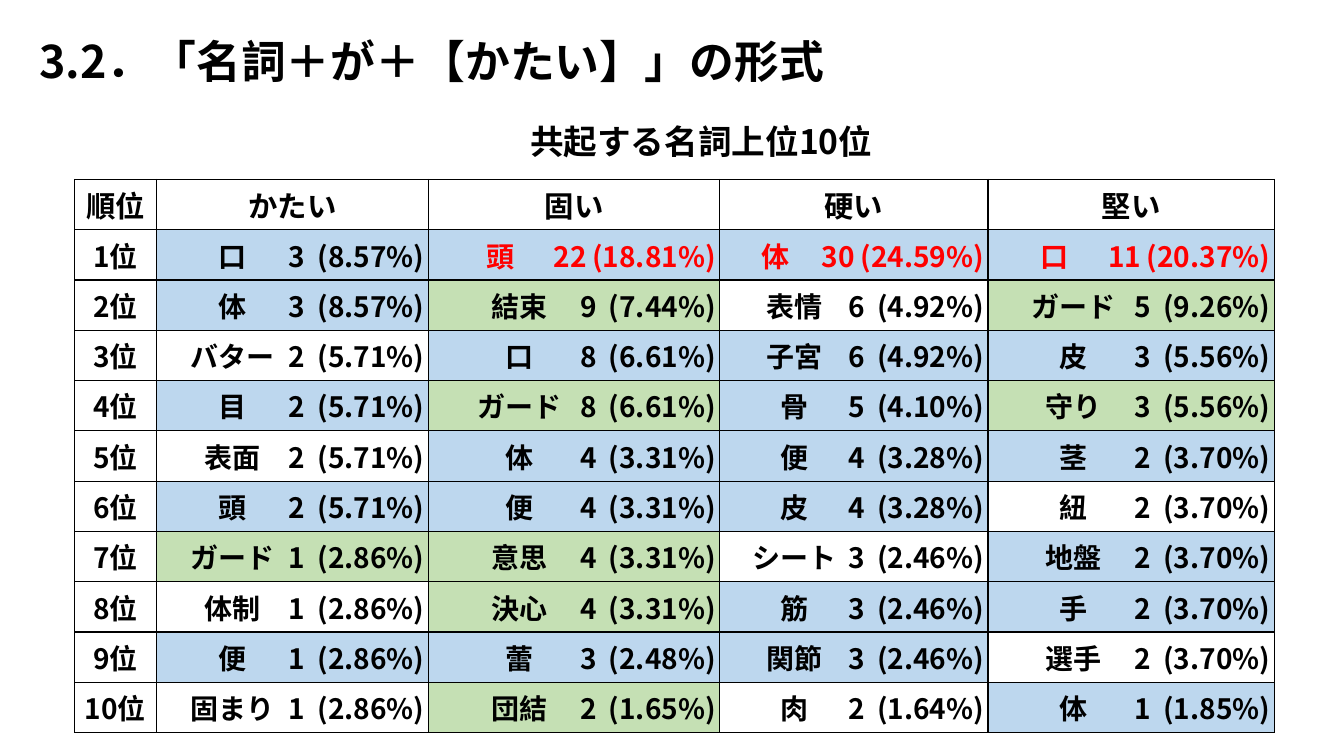
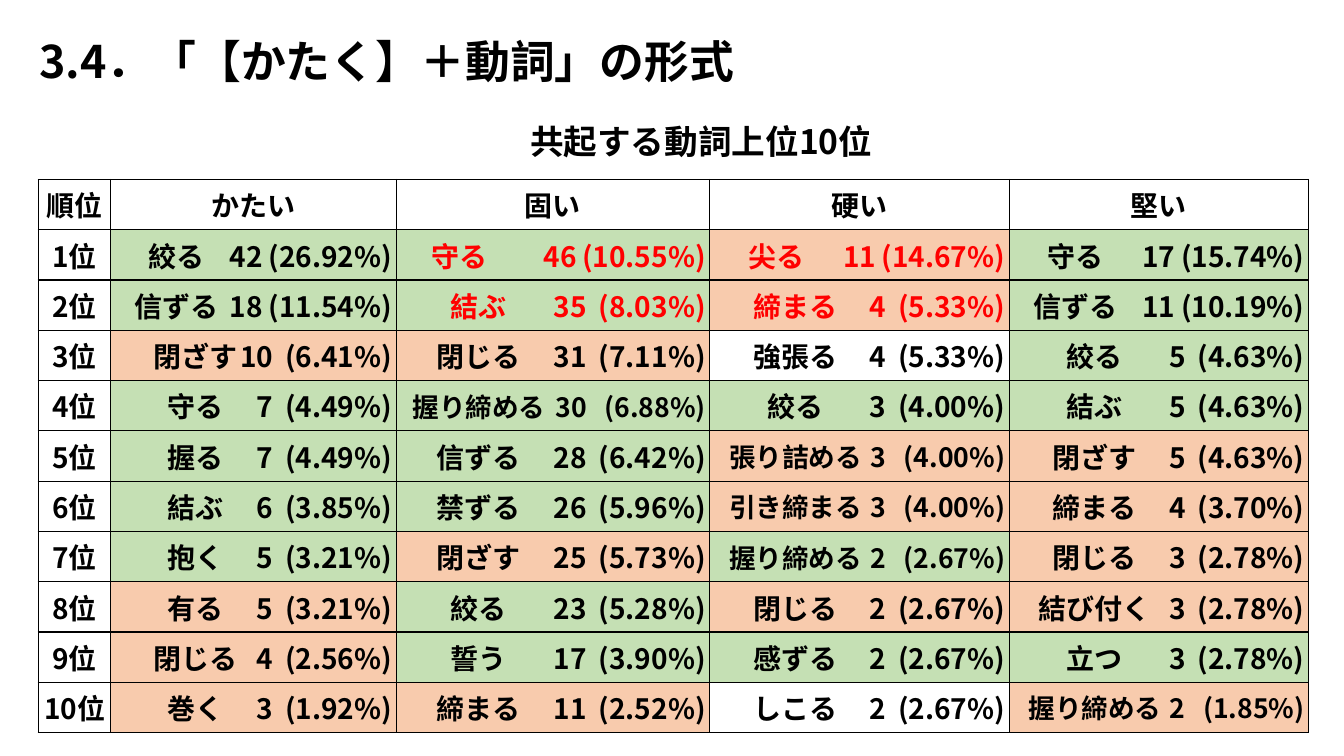
from pptx import Presentation
from pptx import util as u
from pptx.dml.color import RGBColor
from pptx.enum import text
from pptx.oxml import ns
from lxml import etree

BLACK = RGBColor(0x00, 0x00, 0x00)
RED = RGBColor(0xFF, 0x00, 0x00)
FILLS = {
    "blue": RGBColor(0xBD, 0xD7, 0xEE),
    "green": RGBColor(0xC5, 0xE0, 0xB4),
    "orange": RGBColor(0xF8, 0xCB, 0xAD),
}
FONT = "Noto Sans CJK JP"
GRID = u.Inches(0.01)
SLIDE_SIZE = (1333, 750)
TITLE_BOX = (29, 28, 836, 64)
CAPTION_BOX = (201, 115, 989, 50)
TABLE_TOP, TABLE_HEIGHT = 178, 549
PERCENT_PAD, COUNT_OFFSET = 4, 118
WIDE_WORD_SHIFT, WIDE_COUNT_SHIFT = 19, 10
LEFT, CENTER = text.PP_ALIGN.LEFT, text.PP_ALIGN.CENTER
MIDDLE, TOP = text.MSO_ANCHOR.MIDDLE, text.MSO_ANCHOR.TOP
HEADINGS = ["順位", "かたい", "固い", "硬い", "堅い"]

NOUNS = {
    "title": "3.2．「名詞＋が＋【かたい】」の形式",
    "caption": "共起する名詞上位10位",
    "left": 74,
    "widths": [81, 270, 289, 266, 284],
    "word_offsets": [190, 195, 188, 195],
    "heading_size": 21,
    "columns": [
        """口 3 8.57 blue
        体 3 8.57 blue
        バター 2 5.71
        目 2 5.71 blue
        表面 2 5.71
        頭 2 5.71 blue
        ガード 1 2.86 green
        体制 1 2.86
        便 1 2.86 blue
        固まり 1 2.86""",
        """頭 22 18.81 blue red
        結束 9 7.44 green
        口 8 6.61 blue
        ガード 8 6.61 green
        体 4 3.31 blue
        便 4 3.31 blue
        意思 4 3.31 green
        決心 4 3.31 green
        蕾 3 2.48 blue
        団結 2 1.65 green""",
        """体 30 24.59 blue red
        表情 6 4.92
        子宮 6 4.92 blue
        骨 5 4.10 blue
        便 4 3.28 blue
        皮 4 3.28 blue
        シート 3 2.46
        筋 3 2.46 blue
        関節 3 2.46 blue
        肉 2 1.64""",
        """口 11 20.37 blue red
        ガード 5 9.26 green
        皮 3 5.56 blue
        守り 3 5.56 green
        茎 2 3.70 blue
        紐 2 3.70
        地盤 2 3.70 blue
        手 2 3.70 blue
        選手 2 3.70
        体 1 1.85 blue""",
    ],
}

VERBS = {
    "title": "3.4．「【かたく】＋動詞」の形式",
    "caption": "共起する動詞上位10位",
    "left": 38,
    "widths": [72, 283, 311, 297, 297],
    "word_offsets": [195, 225, 208, 208],
    "heading_size": 20,
    "columns": [
        """絞る 42 26.92 green
        信ずる 18 11.54 green
        閉ざす 10 6.41 orange
        守る 7 4.49 green
        握る 7 4.49 green
        結ぶ 6 3.85 green
        抱く 5 3.21 green
        有る 5 3.21 orange
        閉じる 4 2.56 orange
        巻く 3 1.92 orange""",
        """守る 46 10.55 green red
        結ぶ 35 8.03 green red
        閉じる 31 7.11 orange
        握り締める 30 6.88 green
        信ずる 28 6.42 green
        禁ずる 26 5.96 green
        閉ざす 25 5.73 orange
        絞る 23 5.28 green
        誓う 17 3.90 green
        締まる 11 2.52 orange""",
        """尖る 11 14.67 orange red
        締まる 4 5.33 orange red
        強張る 4 5.33
        絞る 3 4.00 green
        張り詰める 3 4.00 orange
        引き締まる 3 4.00 orange
        握り締める 2 2.67 green
        閉じる 2 2.67 orange
        感ずる 2 2.67 green
        しこる 2 2.67""",
        """守る 17 15.74 green
        信ずる 11 10.19 green
        絞る 5 4.63 green
        結ぶ 5 4.63 green
        閉ざす 5 4.63 orange
        締まる 4 3.70 orange
        閉じる 3 2.78 orange
        結び付く 3 2.78 orange
        立つ 3 2.78 green
        握り締める 2 1.85 orange""",
    ],
}


def apply(target, values):
    for name, value in values.items():
        setattr(target, name, value)


def write(paragraph, words, size, align, color=BLACK):
    paragraph.alignment = align
    run = paragraph.add_run()
    run.text = words
    apply(run.font, {"size": u.Pt(size), "bold": True, "name": FONT})
    run.font.color.rgb = color
    east_asian = etree.SubElement(run.font._element, ns.qn("a:ea"))
    east_asian.set("typeface", FONT)


def add_text(slide, box, words, size, align, anchor):
    frame = slide.shapes.add_textbox(*(GRID * part for part in box)).text_frame
    apply(frame, {"word_wrap": True, "vertical_anchor": anchor})
    write(frame.paragraphs[0], words, size, align)


def add_tabs(paragraph, stops):
    tabs = etree.SubElement(paragraph._p.get_or_add_pPr(), ns.qn("a:tabLst"))
    for position, align in stops:
        tab = etree.SubElement(tabs, ns.qn("a:tab"))
        tab.set("pos", str(GRID * position))
        tab.set("algn", align)


def style_cell(cell, fill=None):
    apply(cell, {"vertical_anchor": MIDDLE, "margin_left": 0, "margin_right": 0,
                 "margin_top": 0, "margin_bottom": 0})
    properties = cell._tc.get_or_add_tcPr()
    for side in ("lnL", "lnR", "lnT", "lnB"):
        line = etree.SubElement(properties, ns.qn(f"a:{side}"), w=str(u.Pt(1)))
        solid = etree.SubElement(line, ns.qn("a:solidFill"))
        etree.SubElement(solid, ns.qn("a:srgbClr"), val=str(BLACK))
    if fill is None:
        cell.fill.background()
    else:
        cell.fill.solid()
        cell.fill.fore_color.rgb = fill


def fill_label(cell, words, size):
    style_cell(cell)
    write(cell.text_frame.paragraphs[0], words, size, CENTER)


def fill_entry(cell, entry, width, word_offset):
    word, count, percent, *marks = entry.split()
    style_cell(cell, FILLS[marks[0]] if marks else None)
    wide = float(percent) >= 10
    edge = width - PERCENT_PAD
    paragraph = cell.text_frame.paragraphs[0]
    add_tabs(paragraph, [
        (edge - word_offset - WIDE_WORD_SHIFT * wide, "ctr"),
        (edge - COUNT_OFFSET - WIDE_COUNT_SHIFT * wide, "r"),
        (edge, "r"),
    ])
    write(paragraph, f"\t{word}\t{count}\t({percent}%)",
          19 if len(word) > 4 else 20, LEFT, RED if "red" in marks else BLACK)


def add_ranking(slide, content):
    widths = content["widths"]
    columns = [column.splitlines() for column in content["columns"]]
    row_count = len(columns[0]) + 1
    box = (content["left"], TABLE_TOP, sum(widths), TABLE_HEIGHT)
    table = slide.shapes.add_table(
        row_count, len(widths), *(GRID * part for part in box)).table
    apply(table, {"first_row": False, "horz_banding": False})
    for column, width in zip(table.columns, widths):
        column.width = GRID * width
    for row in table.rows:
        row.height = GRID * TABLE_HEIGHT // row_count
    for index, heading in enumerate(HEADINGS):
        fill_label(table.cell(0, index), heading, content["heading_size"])
    for rank in range(1, row_count):
        fill_label(table.cell(rank, 0), f"{rank}位", 20)
    for index, entries in enumerate(columns, 1):
        for rank, entry in enumerate(entries, 1):
            fill_entry(table.cell(rank, index), entry, widths[index],
                       content["word_offsets"][index - 1])


def add_ranking_slide(presentation, content):
    slide = presentation.slides.add_slide(presentation.slide_layouts[6])
    add_text(slide, CAPTION_BOX, content["caption"], 24, CENTER, TOP)
    add_ranking(slide, content)
    add_text(slide, TITLE_BOX, content["title"], 32, LEFT, MIDDLE)


def main():
    presentation = Presentation()
    width, height = SLIDE_SIZE
    apply(presentation, {"slide_width": GRID * width, "slide_height": GRID * height})
    for content in (NOUNS, VERBS):
        add_ranking_slide(presentation, content)
    presentation.save("out.pptx")


if __name__ == "__main__":
    main()
